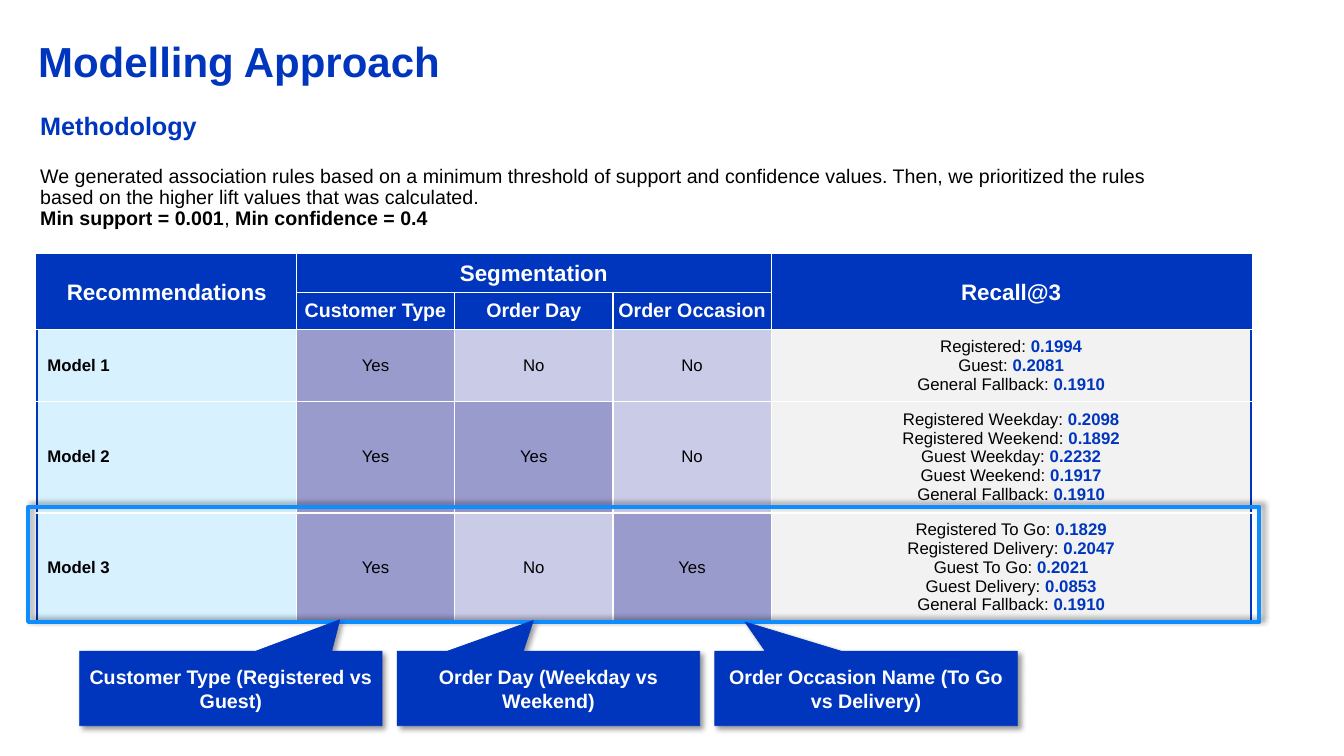
from dataclasses import dataclass

from lxml import etree
from pptx import Presentation
from pptx.dml.color import RGBColor
from pptx.enum.shapes import MSO_SHAPE
from pptx.enum.text import MSO_ANCHOR, PP_ALIGN
from pptx.oxml.ns import qn
from pptx.util import Inches, Pt

CENTER, LEFT = PP_ALIGN.CENTER, PP_ALIGN.LEFT
MIDDLE = MSO_ANCHOR.MIDDLE
RECTANGLE, CALLOUT = MSO_SHAPE.RECTANGLE, MSO_SHAPE.RECTANGULAR_CALLOUT


@dataclass(frozen=True)
class Theme:
    font: str = "Arial"
    blue: str = "0036BD"
    bright: str = "0E8DFF"
    white: str = "FFFFFF"
    black: str = "000000"
    model: str = "D7F1FF"
    yes: str = "999BCD"
    no: str = "CACBE6"
    recall: str = "F2F2F2"
    title: int = 30
    heading: int = 18
    header: int = 16
    body: int = 14
    cell: int = 12


theme = Theme()


def style(paragraph, size, color, bold=False, align=LEFT):
    paragraph.alignment = align
    font = paragraph.font
    font.name, font.size, font.bold = theme.font, Pt(size), bold
    font.color.rgb = RGBColor.from_string(color)


def cast_shadow(shape, degrees):
    shape.shadow.inherit = False
    effects = shape.element.spPr.find(qn("a:effectLst"))
    outer = etree.SubElement(effects, qn("a:outerShdw"), blurRad=str(Pt(4)),
                             dist=str(Pt(3)), dir=str(degrees * 60000), algn="ctr", rotWithShape="0")
    shade = etree.SubElement(outer, qn("a:srgbClr"), val=theme.black)
    etree.SubElement(shade, qn("a:alpha"), val="40000")


presentation = Presentation()
presentation.slide_width, presentation.slide_height = Inches(13.33), Inches(7.5)
slide = presentation.slides.add_slide(presentation.slide_layouts[6])
shapes = slide.shapes

models = [
    ("Model 1", "Yes", "No", "No", [
        ("Registered", "0.1994"), ("Guest", "0.2081"), ("General Fallback", "0.1910")]),
    ("Model 2", "Yes", "Yes", "No", [
        ("Registered Weekday", "0.2098"), ("Registered Weekend", "0.1892"),
        ("Guest Weekday", "0.2232"), ("Guest Weekend", "0.1917"), ("General Fallback", "0.1910")]),
    ("Model 3", "Yes", "No", "Yes", [
        ("Registered To Go", "0.1829"), ("Registered Delivery", "0.2047"),
        ("Guest To Go", "0.2021"), ("Guest Delivery", "0.0853"), ("General Fallback", "0.1910")]),
]
headers = [
    ("Recommendations", "Segmentation", "", "", "Recall@3"),
    ("", "Customer Type", "Order Day", "Order Occasion", ""),
]
column_widths = [2.57, 1.57, 1.57, 1.57, 4.76]
row_heights = [0.37, 0.37, 0.71, 1.11, 1.08]

results = shapes.add_table(5, 5, Inches(0.37), Inches(2.53), Inches(12.04), Inches(3.64)).table
results.first_row = results.horz_banding = False
for column, width in zip(results.columns, column_widths):
    column.width = Inches(width)
for row, height in zip(results.rows, row_heights):
    row.height = Inches(height)

for r in range(5):
    for c in range(5):
        cell = results.cell(r, c)
        outer_edges = {"L": c == 0, "R": c == 4, "T": r == 0, "B": r == 4}
        properties = cell._tc.get_or_add_tcPr()
        for side, is_outer in outer_edges.items():
            edge = etree.SubElement(properties, qn(f"a:ln{side}"), w=str(Pt(1.5 if is_outer else 1)))
            paint = etree.SubElement(edge, qn("a:solidFill"))
            etree.SubElement(paint, qn("a:srgbClr"), val=theme.blue if is_outer else theme.white)
        cell.vertical_anchor = MIDDLE
        frame = cell.text_frame
        if r < 2:
            fill = theme.blue
            cell.text = headers[r][c]
            style(frame.paragraphs[0], theme.body if r else theme.header, theme.white, True, CENTER)
            if r:
                cell.margin_left = cell.margin_right = 0
        elif c == 4:
            fill = theme.recall
            for i, (segment, score) in enumerate(models[r - 2][c]):
                line = frame.add_paragraph() if i else frame.paragraphs[0]
                style(line, theme.cell, theme.black, False, CENTER)
                line.add_run().text = f"{segment}: "
                value = line.add_run()
                value.text = score
                value.font.bold = True
                value.font.color.rgb = RGBColor.from_string(theme.blue)
        else:
            cell.text = models[r - 2][c]
            fill = {"Yes": theme.yes, "No": theme.no}.get(cell.text, theme.model)
            style(frame.paragraphs[0], theme.cell, theme.black, c == 0, CENTER if c else LEFT)
        cell.fill.solid()
        cell.fill.fore_color.rgb = RGBColor.from_string(fill)

for first, last in [((0, 0), (1, 0)), ((0, 1), (0, 3)), ((0, 4), (1, 4))]:
    results.cell(*first).merge(results.cell(*last))

methodology = shapes.add_textbox(Inches(0.3), Inches(1.08), Inches(11.71), Inches(1.77)).text_frame
methodology.word_wrap = True
methodology.margin_right = Inches(0.2)
heading = methodology.paragraphs[0]
heading.text = "Methodology"
style(heading, theme.heading, theme.blue, True)
explanation = methodology.add_paragraph()
explanation.text = ("We generated association rules based on a minimum threshold of support and confidence "
                    "values. Then, we prioritized the rules based on the higher lift values that was calculated.")
explanation.space_before = Pt(18)
style(explanation, theme.body, theme.black)
thresholds = methodology.add_paragraph()
style(thresholds, theme.body, theme.black)
for words, bold in [("Min support = 0.001", True), (", ", False), ("Min confidence = 0.4", True)]:
    part = thresholds.add_run()
    part.text, part.font.bold = words, bold
for paragraph in methodology.paragraphs:
    paragraph.line_spacing = 0.9

title = shapes.add_textbox(Inches(0.28), Inches(0.3), Inches(11.41), Inches(0.61)).text_frame
title.word_wrap = True
title.text = "Modelling Approach"
style(title.paragraphs[0], theme.title, theme.blue, True)

highlight = shapes.add_shape(RECTANGLE, Inches(0.28), Inches(5.03), Inches(12.21), Inches(1.14))
highlight.fill.background()
highlight.line.color.rgb = RGBColor.from_string(theme.bright)
highlight.line.width = Pt(3)
cast_shadow(highlight, 315)

segments = [
    ("Customer Type (Registered vs Guest)", 0.36, -0.92),
    ("Order Day (Weekday vs Weekend)", -0.05, -0.91),
    ("Order Occasion Name (To Go vs Delivery)", -0.4, -0.89),
]
for i, (meaning, tip_x, tip_y) in enumerate(segments):
    callout = shapes.add_shape(CALLOUT, Inches(0.79 + 3.15 * i), Inches(6.46), Inches(3), Inches(0.74))
    callout.adjustments[0], callout.adjustments[1] = tip_x, tip_y
    callout.fill.solid()
    callout.fill.fore_color.rgb = RGBColor.from_string(theme.blue)
    callout.line.color.rgb = RGBColor.from_string(theme.blue)
    callout.line.width = Pt(0.5)
    cast_shadow(callout, 45)
    callout.text_frame.word_wrap = True
    callout.text_frame.vertical_anchor = MIDDLE
    callout.text_frame.text = meaning
    label = callout.text_frame.paragraphs[0]
    label.space_before = label.space_after = Pt(3)
    style(label, theme.body, theme.white, True, CENTER)

presentation.save("out.pptx")
